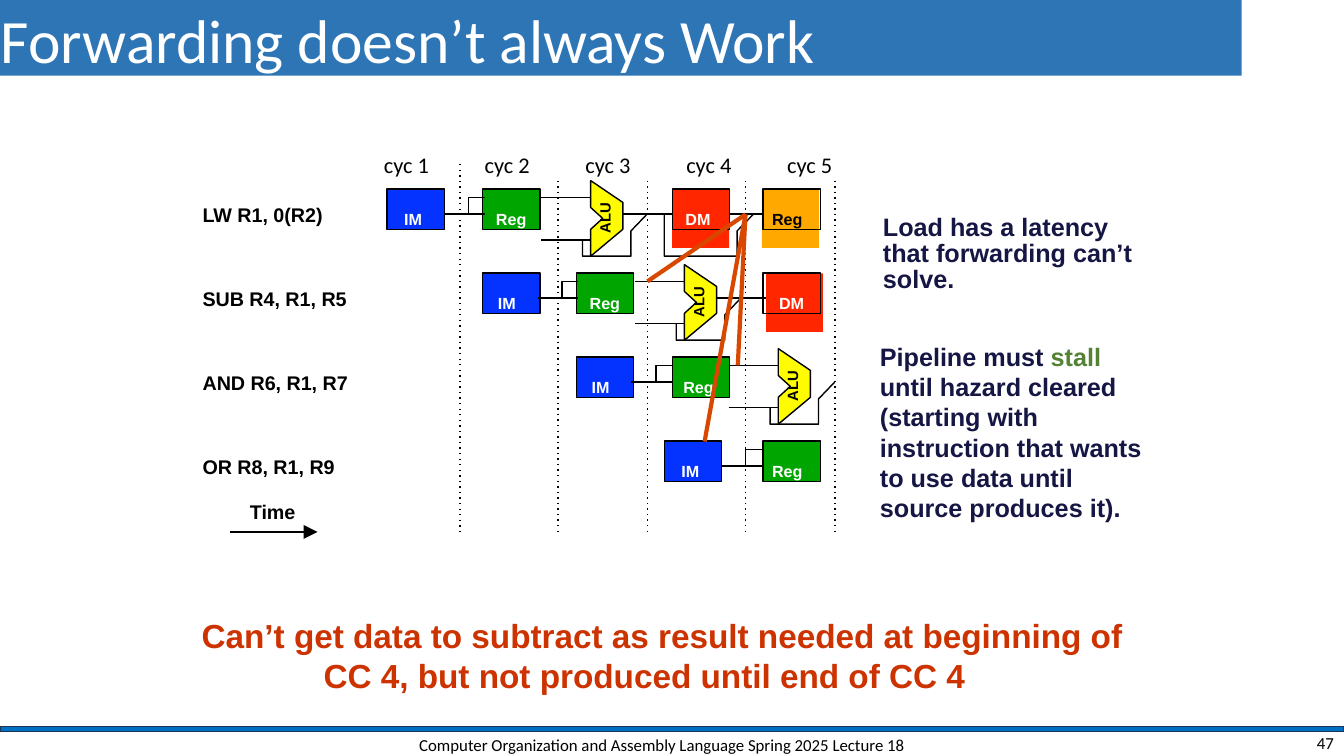
import pptx
import pptx.util
import pptx.dml.color
import pptx.enum.shapes
import pptx.enum.text
import pptx.oxml.ns
import lxml.etree

Pt = pptx.util.Pt
qn = pptx.oxml.ns.qn
RECTANGLE = pptx.enum.shapes.MSO_SHAPE.RECTANGLE
ALIGN = pptx.enum.text.PP_ALIGN
ANCHOR = pptx.enum.text.MSO_ANCHOR
COLORS = {name: pptx.dml.color.RGBColor.from_string(value) for name, value in {
    "black": "000000", "white": "FFFFFF", "title": "2E75B6", "bar": "0070C0",
    "bar edge": "1E3256", "blue": "0433FF", "green": "00A500", "red": "FF2600",
    "orange": "FFA900", "yellow": "FFFB00", "hazard": "D84800",
    "caption": "CC3300", "navy": "161645", "stall": "548235"}.items()}

deck = pptx.Presentation()
deck.slide_width, deck.slide_height = Pt(960), Pt(540)
page = deck.slides.add_slide(deck.slide_layouts[6])


def text(words, left, top, width, height, size=14.1, color="black", font="Arial",
         bold=True, align=ALIGN.LEFT, anchor=ANCHOR.TOP, inset=(0.7, 0.9, 0, 0),
         spacing=None, hanging=0, tabs=(), upward=False, fill=None, edge=None):
    """Add a text box, or a rectangle if it has a fill or an edge.

    words is a string or a list of (string, color) pairs."""
    place = Pt(left), Pt(top), Pt(width), Pt(height)
    if fill or edge:
        box = page.shapes.add_shape(RECTANGLE, *place)
        box.shadow.inherit = False
        if fill:
            box.fill.solid()
            box.fill.fore_color.rgb = COLORS[fill]
        else:
            box.fill.background()
        if edge:
            box.line.color.rgb = COLORS[edge]
            box.line.width = Pt(1)
        else:
            box.line.fill.background()
    else:
        box = page.shapes.add_textbox(*place)
    frame = box.text_frame
    frame.word_wrap = True
    frame.vertical_anchor = anchor
    frame.margin_left, frame.margin_top, frame.margin_right, frame.margin_bottom = map(Pt, inset)
    if upward:
        frame._txBody.bodyPr.set("vert", "vert270")
    para = frame.paragraphs[0]
    para.alignment = align
    if spacing:
        para.line_spacing = spacing
    properties = para._p.get_or_add_pPr()
    if hanging:
        properties.set("marL", str(Pt(hanging)))
        properties.set("indent", str(-Pt(hanging)))
    if tabs:
        stops = lxml.etree.SubElement(properties, qn("a:tabLst"))
        for stop in tabs:
            lxml.etree.SubElement(stops, qn("a:tab"), pos=str(Pt(stop)), algn="l")
    for words_part, part_color in [(words, color)] if isinstance(words, str) else words:
        span = para.add_run()
        span.text = words_part
        span.font.name, span.font.size, span.font.bold = font, Pt(size), bold
        span.font.color.rgb = COLORS[part_color]


def trace(points, color="black", width=1, fill=None, dotted=False, arrow=False):
    """Draw a connector through two points, or an outline through more."""
    points = [(Pt(x), Pt(y)) for x, y in points]
    if len(points) == 2:
        path = page.shapes.add_connector(
            pptx.enum.shapes.MSO_CONNECTOR.STRAIGHT, *points[0], *points[1])
        lxml.etree.SubElement(path._element.spPr, qn("a:effectLst"))
    else:
        builder = page.shapes.build_freeform(*points[0], scale=1.0)
        builder.add_line_segments(points[1:], close=bool(fill))
        path = builder.convert_to_shape()
        path.shadow.inherit = False
        if fill:
            path.fill.solid()
            path.fill.fore_color.rgb = COLORS[fill]
        else:
            path.fill.background()
    path.line.color.rgb = COLORS[color]
    path.line.width = Pt(width)
    outline = path.line._get_or_add_ln()
    if dotted:
        lxml.etree.SubElement(outline, qn("a:prstDash"), val="dot")
    if arrow:
        lxml.etree.SubElement(outline, qn("a:tailEnd"), type="triangle", w="lg", len="lg")


# Title
text("Forwarding doesn’t always Work", 0, 0, 887, 54, size=44, color="white",
     font="Calibri", bold=False, anchor=ANCHOR.MIDDLE, fill="title")

# Footer bar and solid memory and register blocks
for left, top, width, height, fill, edge in [
        (0, 519.1, 960, 3.6, "bar", "bar edge"),
        (480.2, 135.2, 40.7, 41.8, "red", None),
        (544.3, 135.2, 40.7, 41.8, "orange", None),
        (547.2, 195.2, 40.7, 41.8, "red", None)]:
    block = page.shapes.add_shape(RECTANGLE, Pt(left), Pt(top), Pt(width), Pt(height))
    block.shadow.inherit = False
    block.fill.solid()
    block.fill.fore_color.rgb = COLORS[fill]
    if edge:
        block.line.color.rgb = COLORS[edge]
        block.line.width = Pt(1)
    else:
        block.line.fill.background()

# Pipeline stages: row, left, name, text indent, fill, text color
ROW_STEP = 60
for row, left, name, indent, fill, color in [
        (0, 276.5, "IM", 12.2, "blue", "white"),
        (0, 344.9, "Reg", 9.4, "green", "white"),
        (0, 480.2, "DM", 9.4, None, "white"),
        (0, 545, "Reg", 6.5, None, "black"),
        (1, 344.9, "IM", 10.8, "blue", "white"),
        (1, 411.8, "Reg", 9.4, "green", "white"),
        (1, 545, "DM", 11.5, None, "white"),
        (2, 411.8, "IM", 10.8, "blue", "white"),
        (2, 480.2, "Reg", 7.9, "green", "white"),
        (3, 474.5, "IM", 12.2, "blue", "white"),
        (3, 545, "Reg", 6.5, "green", "white")]:
    text(name, left, 135 + row * ROW_STEP, 41, 28.8, size=11.5, color=color,
         inset=(indent, 14.5, 0, 0), fill=fill, edge="black")

# ALUs with their two inputs and the bypass below
for row in range(3):
    x, y = 421.9 + 67 * row, 129 + row * ROW_STEP
    trace([(x, y), (x, y + 19.2), (x + 8.6, y + 27), (x, y + 34.8), (x, y + 54),
           (x + 23, y + 34.8), (x + 23, y + 15.6)], fill="yellow")
    text("ALU", x + 5.2, y + 13.7, 10.8, 23.8, size=10.6, inset=(0, 0, 0, 0),
         spacing=Pt(11.2), upward=True)
    for drop in (12.1, 42.3):
        trace([(x - 35.3, y + drop), (x, y + drop)])
    trace([(x - 5.8, y + 42.3), (x - 5.8, y + 54), (x + 28.8, y + 54),
           (x + 28.8, y + 36), (x + 40.3, y + 24)])

# Links from instruction memory to registers
for row, right in enumerate([346.2, 413.2, 480.2, 544.3]):
    middle = 153 + row * ROW_STEP
    trace([(right - 29.2, middle), (right, middle)])
    trace([(right - 11.7, middle), (right - 11.7, middle - 11.9), (right, middle - 11.9)])

# Links around data memory
for start, end, middle in [(445, 480.2, 153), (520.9, 544.3, 153), (512, 547.2, 213)]:
    trace([(start, middle), (end, middle)])
trace([(474.5, 153), (474.5, 183), (526.5, 183), (526.5, 165), (538.2, 153)])

# Cycle boundaries and labels
for x, top in [(328.6, 117.2), (398.5, 129), (462.5, 129), (532.5, 129), (596.5, 129)]:
    trace([(x, top), (x, 380.8)], dotted=True)
text("cyc 1\tcyc 2\tcyc 3\tcyc 4\tcyc 5", 267.1, 104.4, 337.7, 26.6, size=16,
     font="Calibri", bold=False, inset=(7.2, 3.6, 7.2, 3.6), tabs=range(72, 289, 72))

# Instructions and time axis
for row, instruction in enumerate(
        ["LW R1, 0(R2)", "SUB R4, R1, R5", "AND R6, R1, R7", "OR R8, R1, R9"]):
    text(instruction, 144, 144 + row * ROW_STEP, 110, 18)
text("Time", 177.8, 356.4, 40, 18)
trace([(164.2, 380), (226.8, 380)], arrow=True)

# Hazards: the loaded value is needed too early
for needed in [(462.5, 201), (527, 261), (503.3, 315.4)]:
    trace([(532.5, 153.2), needed], color="hazard", width=3)

# Explanations
text("Load has a latency that forwarding can’t solve.", 630, 152, 196.6, 60, size=18,
     color="navy", inset=(0.7, 2, 0, 0), spacing=Pt(18.5))
text([("Pipeline must ", "navy"), ("stall ", "stall"),
      ("until hazard cleared (starting with instruction that wants to use data until "
       "source produces it).", "navy")],
     627.8, 242.8, 200.2, 132, size=18, spacing=1)
text("Can’t get data to subtract as result needed at beginning of CC 4, "
     "but not produced until end of CC 4", 143.3, 437.8, 668.9, 59, size=23.8,
     color="caption", inset=(0.7, 2.1, 0, 0), spacing=Pt(28.2), hanging=87.1)

# Footer
for words, left, width, height, align in [
        ("Computer Organization and Assembly Language Spring 2025 Lecture 18",
         282.2, 381.6, 20.2, ALIGN.CENTER),
        ("47", 743.8, 216, 18, ALIGN.RIGHT)]:
    text(words, left, 521.6, width, height, size=12, font="Calibri", bold=False,
         align=align, anchor=ANCHOR.MIDDLE, inset=(7.2, 3.6, 7.2, 3.6))

deck.save("out.pptx")
